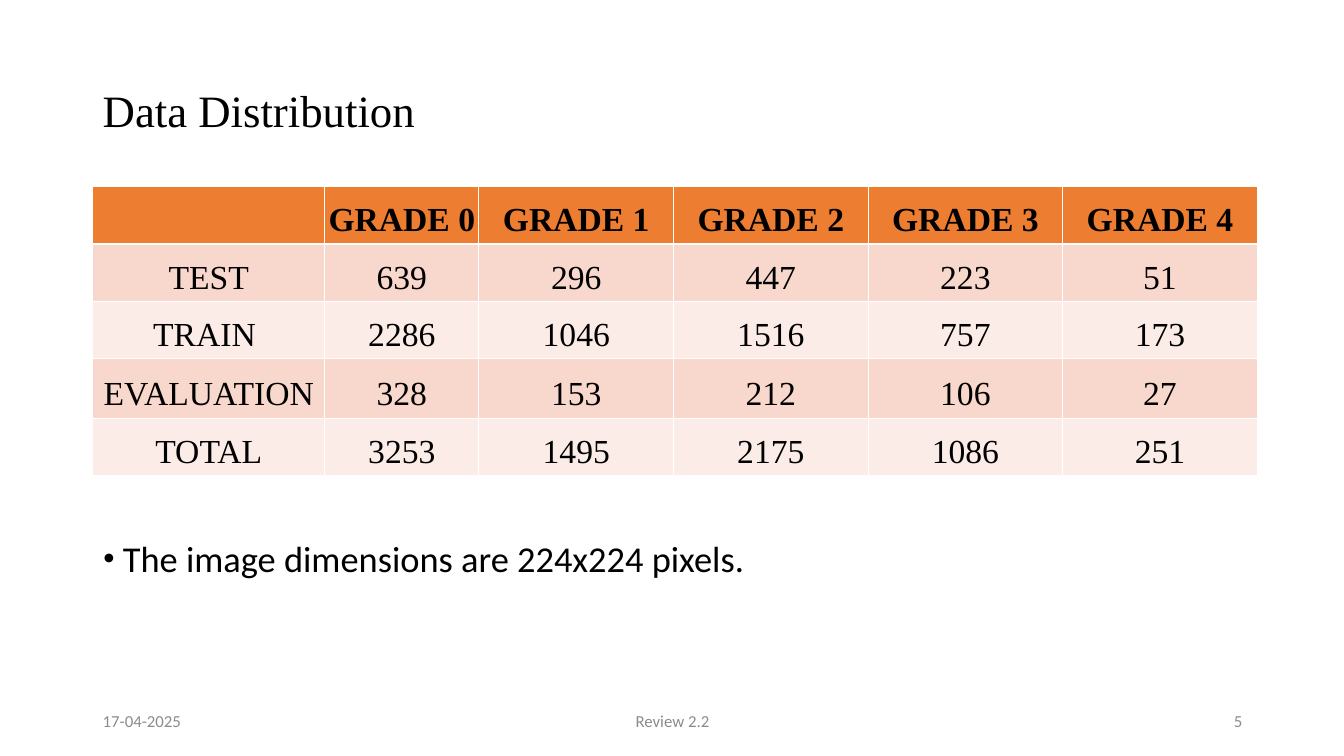
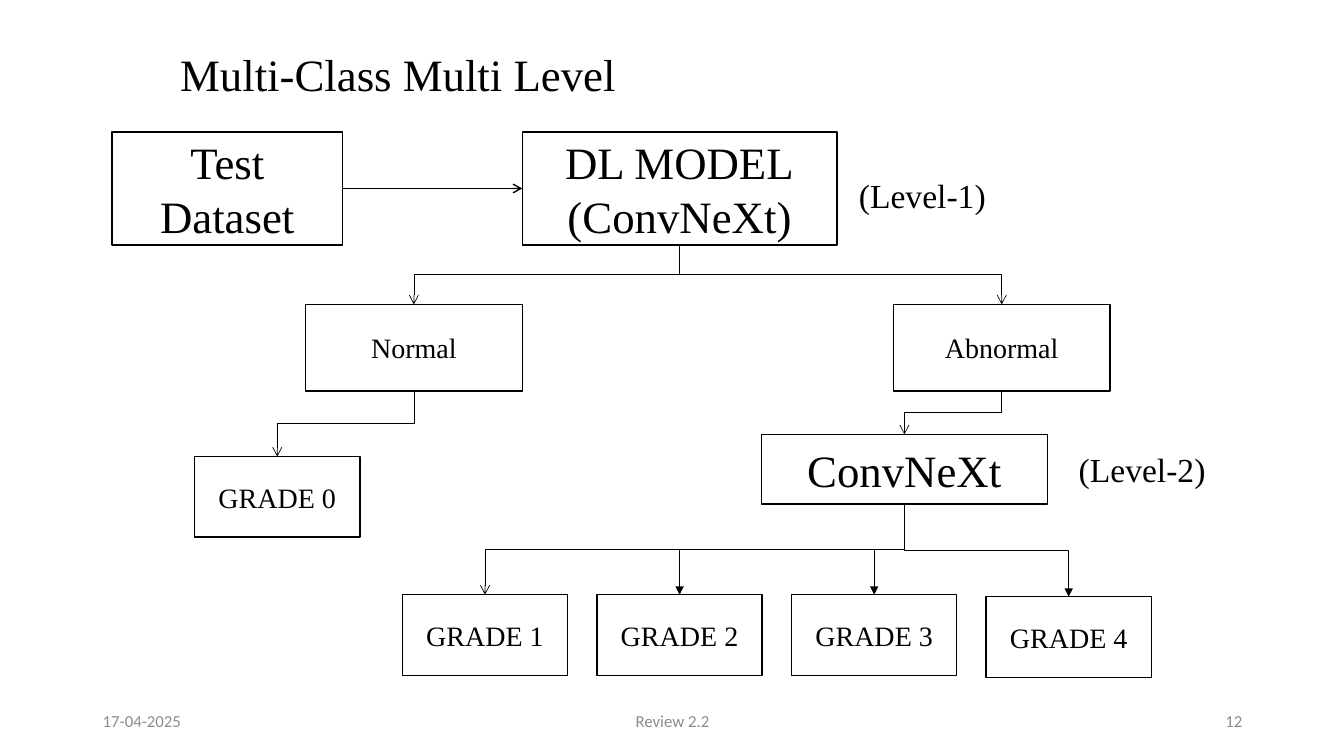
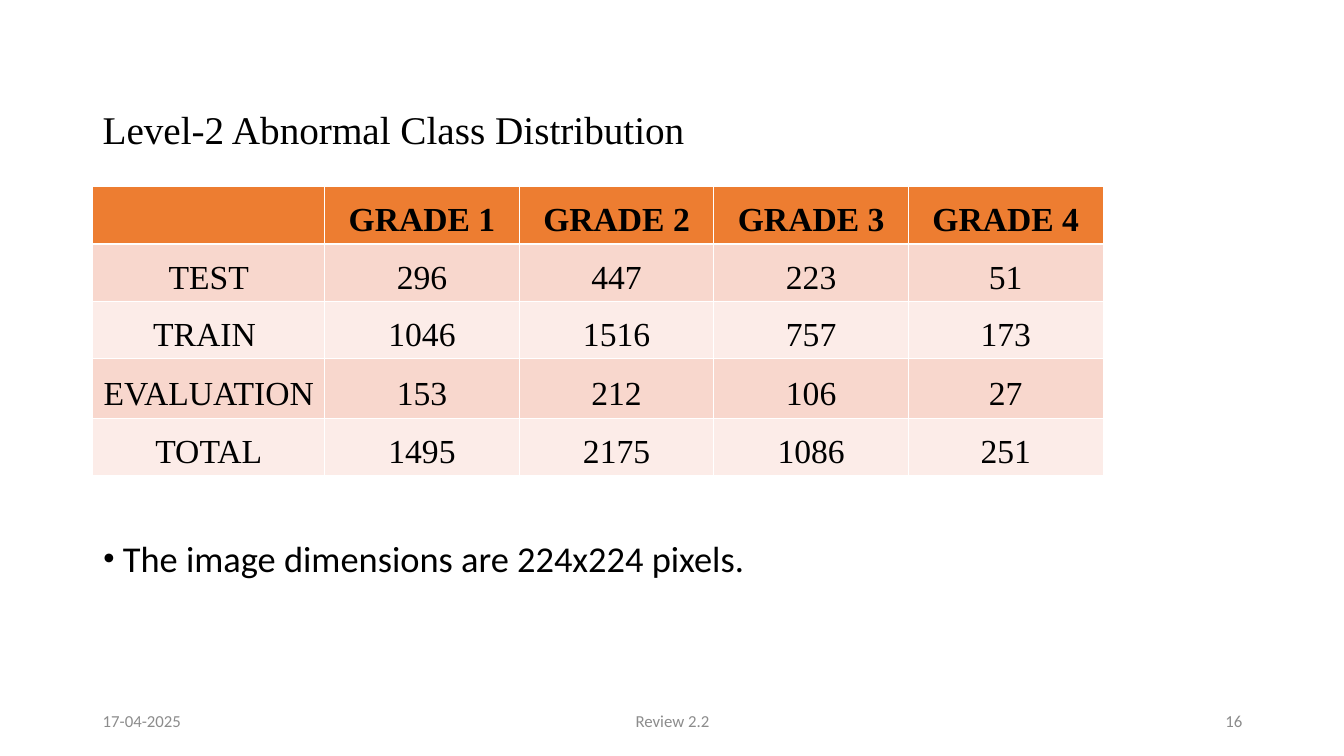
from dataclasses import dataclass
from typing import Any

from lxml import etree
from pptx import Presentation
from pptx import util as u
from pptx.dml import color
from pptx.enum import shapes, text
from pptx.oxml import ns

SERIF, SANS = "Times New Roman", "Calibri"
BLACK, WHITE, GREY = "000000", "FFFFFF", "8C8C8C"
HEAD, BANDS = "ED7D31", ("F8D7CD", "FCECE8")
LEFT, MID, RIGHT = text.PP_ALIGN.LEFT, text.PP_ALIGN.CENTER, text.PP_ALIGN.RIGHT
TOP, CENTER, LOW = (text.MSO_ANCHOR.TOP, text.MSO_ANCHOR.MIDDLE,
                    text.MSO_ANCHOR.BOTTOM)
DATE, REVIEW = "17-04-2025", "Review 2.2"
NOTE = "The image dimensions are 224x224 pixels."

GRADES = ["GRADE 0", "GRADE 1", "GRADE 2", "GRADE 3", "GRADE 4"]
COUNTS = {
    "TEST": [639, 296, 447, 223, 51],
    "TRAIN\u00a0": [2286, 1046, 1516, 757, 173],
    "EVALUATION": [328, 153, 212, 106, 27],
    "TOTAL": [3253, 1495, 2175, 1086, 251],
}


@dataclass
class Box:
    label: str
    x: float
    y: float
    w: float
    h: float
    size: int = 20


@dataclass
class Link:
    start: str
    end: str
    head: str = "arrow"


BOXES = {
    "test": Box("Test Dataset", 1.11, 1.31, 2.29, 1.12, 32),
    "model": Box("DL MODEL\n(ConvNeXt)", 5.18, 1.31, 3.12, 1.12, 32),
    "normal": Box("Normal", 3.03, 3.02, 2.15, 0.86),
    "abnormal": Box("Abnormal", 8.86, 3.02, 2.15, 0.86),
    "net": Box("ConvNeXt", 7.55, 4.31, 2.84, 0.69, 32),
    "grade0": Box(GRADES[0], 1.93, 4.53, 1.64, 0.8),
}
for i, grade in enumerate(GRADES[1:]):
    drop = 0.02 if i == 3 else 0
    BOXES[f"grade{i + 1}"] = Box(grade, 3.99 + 1.93 * i, 5.9 + drop, 1.64, 0.8)

LINKS = [
    Link("model", "normal"),
    Link("model", "abnormal"),
    Link("normal", "grade0"),
    Link("abnormal", "net"),
    Link("net", "grade1"),
    Link("net", "grade2", "triangle"),
    Link("net", "grade3", "triangle"),
    Link("net", "grade4", "triangle"),
]


def rgb(code: str) -> color.RGBColor:
    return color.RGBColor.from_string(code)


def sub(parent: Any, tag: str, **attrs: str) -> Any:
    """Add a drawing element with the given attributes."""
    return etree.SubElement(parent, ns.qn(f"a:{tag}"), attrs)


def write(frame: Any, words: str, *, size: int = 24, font: str = SERIF,
          ink: str = BLACK, bold: bool = False, align: Any = LEFT,
          anchor: Any = TOP, pitch: float = 1.0, bullet: bool = False) -> None:
    frame.word_wrap = True
    frame.vertical_anchor = anchor
    for n, line in enumerate(words.split("\n")):
        para = frame.add_paragraph() if n else frame.paragraphs[0]
        if bullet:
            props = para._p.get_or_add_pPr()
            props.set("marL", str(u.Inches(0.2)))
            props.set("indent", str(-u.Inches(0.2)))
            sub(props, "buFont", typeface=SERIF)
            sub(props, "buChar", char="•")
        para.alignment = align
        para.line_spacing = pitch
        run = para.add_run()
        run.text = line
        run.font.size = u.Pt(size)
        run.font.name = font
        run.font.bold = bold
        run.font.color.rgb = rgb(ink)


def label(slide: Any, words: str, x: float, y: float, w: float, h: float,
          **form: Any) -> None:
    box = slide.shapes.add_textbox(*map(u.Inches, (x, y, w, h)))
    write(box.text_frame, words, **form)


def start(deck: Any, number: int) -> Any:
    """Add a blank slide with its footer."""
    slide = deck.slides.add_slide(deck.slide_layouts[6])
    for words, x, w, align in ((DATE, 0.92, 3, LEFT), (REVIEW, 4.42, 4.5, MID),
                               (str(number), 9.42, 3, RIGHT)):
        label(slide, words, x, 6.95, w, 0.4, size=12, font=SANS, ink=GREY,
              align=align, anchor=CENTER)
    return slide


def edge(cell: Any, row: int) -> None:
    """Draw white cell borders, thicker below the header row."""
    props = cell._tc.get_or_add_tcPr()
    for side in "LRTB":
        thick = (row, side) in ((0, "B"), (1, "T"))
        line = sub(props, f"ln{side}", w=str(u.Pt(1.92 if thick else 0.75)))
        sub(sub(line, "solidFill"), "srgbClr", val=WHITE)


def grid(slide: Any, first: int, widths: list[float]) -> None:
    """Draw the counts from the given grade onwards."""
    rows = [["", *GRADES[first:]]]
    rows += [[name, *map(str, vals[first:])] for name, vals in COUNTS.items()]
    highs = [0.57, 0.57, 0.57, 0.59, 0.57]
    table = slide.shapes.add_table(
        len(rows), len(widths), u.Inches(0.92), u.Inches(1.85),
        u.Inches(sum(widths)), u.Inches(sum(highs))).table
    for col, width in zip(table.columns, widths):
        col.width = u.Inches(width)
    for r, row in enumerate(rows):
        table.rows[r].height = u.Inches(highs[r])
        for c, words in enumerate(row):
            cell = table.cell(r, c)
            edge(cell, r)
            cell.fill.solid()
            cell.fill.fore_color.rgb = rgb(BANDS[(r - 1) % 2] if r else HEAD)
            cell.margin_left = cell.margin_right = u.Inches(0.01)
            cell.margin_top, cell.margin_bottom = u.Inches(0.01), u.Inches(0.05)
            cell.vertical_anchor = LOW
            if words:
                write(cell.text_frame, words, bold=r == 0, align=MID,
                      anchor=LOW)


def counts(deck: Any, number: int, title: str, top: float, size: int,
           first: int, widths: list[float]) -> None:
    slide = start(deck, number)
    label(slide, title, 0.92, top, 11.5, 1.45, size=size, anchor=CENTER,
          pitch=0.9)
    grid(slide, first, widths)
    label(slide, NOTE, 0.92, 5.27, 10.96, 0.55, size=26, font=SANS, bullet=True)


def block(slide: Any, box: Box) -> Any:
    shape = slide.shapes.add_shape(shapes.MSO_SHAPE.RECTANGLE, *map(
        u.Inches, (box.x, box.y, box.w, box.h)))
    shape.shadow.inherit = False
    shape.fill.solid()
    shape.fill.fore_color.rgb = rgb(WHITE)
    shape.line.color.rgb = rgb(BLACK)
    shape.line.width = u.Pt(1)
    write(shape.text_frame, box.label, size=box.size, align=MID, anchor=CENTER)
    return shape


def join(slide: Any, kind: Any, begin: tuple[Any, int], end: tuple[Any, int],
         width: float, head: str) -> Any:
    """Connect two shape sides with an arrow."""
    line = slide.shapes.add_connector(kind, 0, 0, 0, 0)
    line.begin_connect(*begin)
    line.end_connect(*end)
    line.line.color.rgb = rgb(BLACK)
    line.line.width = u.Pt(width)
    sub(line.line._get_or_add_ln(), "tailEnd", type=head)
    sub(line._element.spPr, "effectLst")
    return line


def bend(slide: Any, upper: Any, lower: Any, head: str) -> None:
    """Join bottom to top with an elbow that leaves downwards."""
    line = join(slide, shapes.MSO_CONNECTOR.ELBOW, (upper, 2), (lower, 0),
                0.5, head)
    x1, y1, x2, y2 = line.begin_x, line.begin_y, line.end_x, line.end_y
    wide, high = y2 - y1, abs(x2 - x1)
    line.left, line.top = (x1 + x2 - wide) // 2, (y1 + y2 - high) // 2
    line.width, line.height = wide, high
    right = x2 > x1
    frame = line._element.spPr.find(ns.qn("a:xfrm"))
    frame.set("rot", str((270 if right else 90) * 60000))
    frame.set("flipH", "1" if right else "0")


def levels(deck: Any) -> None:
    slide = start(deck, 12)
    label(slide, "Multi-Class Multi Level", 0.45, 0.41, 7, 0.64, size=32,
          align=MID)
    made = {name: block(slide, box) for name, box in BOXES.items()}
    join(slide, shapes.MSO_CONNECTOR.STRAIGHT, (made["test"], 3),
         (made["model"], 1), 1, "arrow")
    for link in LINKS:
        bend(slide, made[link.start], made[link.end], link.head)
    label(slide, "(Level-1)", 8.42, 1.69, 2.18, 0.5)
    label(slide, "(Level-2)", 10.6, 4.4, 2.18, 0.5)


def main() -> None:
    deck = Presentation()
    deck.slide_width, deck.slide_height = u.Inches(13.33), u.Inches(7.5)
    counts(deck, 5, "Data Distribution", 0.4, 32, 0, [2.3, 1.53] + [1.93] * 4)
    levels(deck)
    counts(deck, 16, "Level-2 Abnormal Class Distribution", 0.58, 28, 1,
           [2.3] + [1.93] * 4)
    deck.save("out.pptx")


if __name__ == "__main__":
    main()
